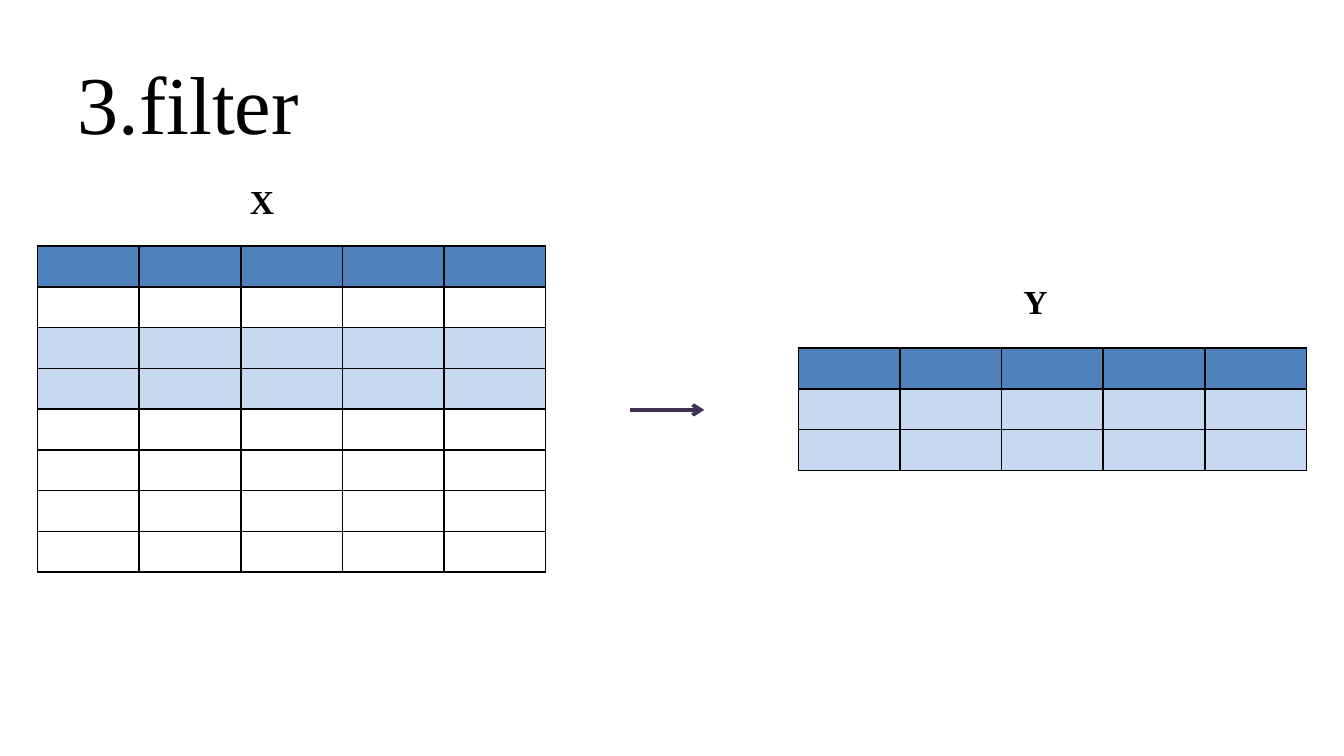
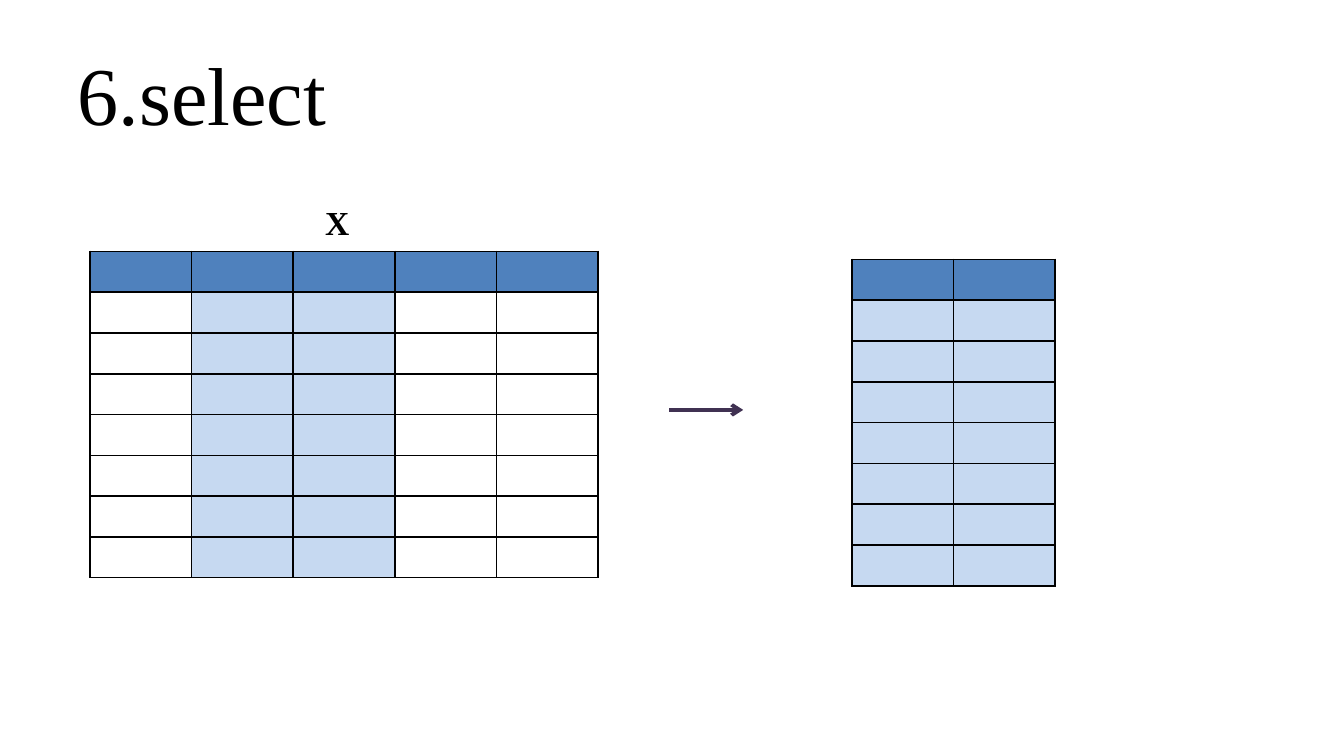
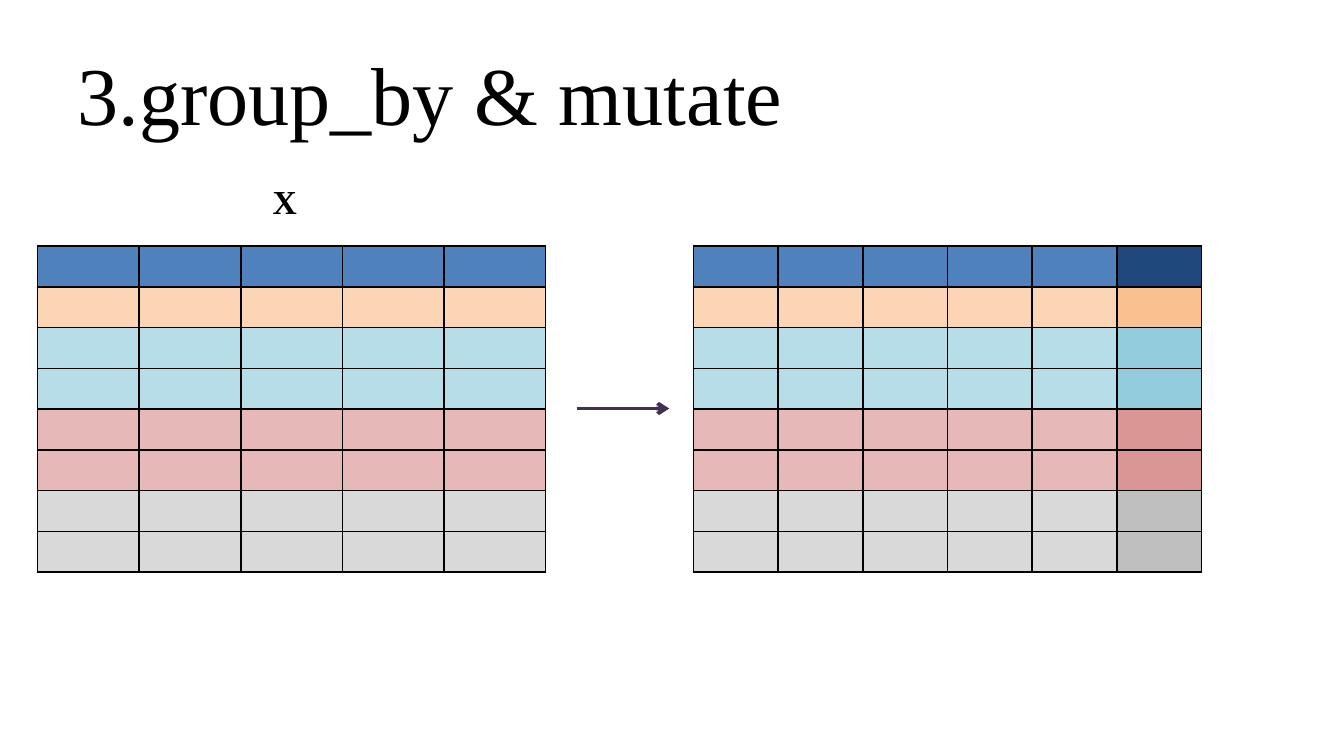
import pptx
import pptx.util
import pptx.dml.color
import pptx.enum.shapes
import pptx.enum.text
import pptx.oxml.ns
from lxml import etree

Inches = pptx.util.Inches
Pt = pptx.util.Pt
qn = pptx.oxml.ns.qn
LEFT = pptx.enum.text.PP_ALIGN.LEFT
CENTER = pptx.enum.text.PP_ALIGN.CENTER

COLORS = {
    "text": "000000",
    "border": "000000",
    "arrow": "403152",
    "header": "4F81BD",
    "header_new": "1F497D",
    "picked": "C6D9F1",
    "orange": "FCD5B5",
    "orange_new": "FAC090",
    "teal": "B7DEE8",
    "teal_new": "93CDDD",
    "red": "E6B9B8",
    "red_new": "D99694",
    "gray": "D9D9D9",
    "gray_new": "BFBFBF",
}
FONT = "Times New Roman"
ROW_HEIGHT = Inches(2.43) // 8
TABLE_WIDTH = 3.78

header = ["header"] * 5
plain = [None] * 5
picked = ["picked"] * 5
groups = ["header", "orange", "teal", "teal", "red", "red", "gray", "gray"]
grouped = [[group] * 5 for group in groups]
mutated = [[group] * 5 + [group + "_new"] for group in groups]

SLIDES = [
    {
        "title": ("3.filter", 0.34),
        "tables": [
            (0.28, 1.83, TABLE_WIDTH, [header, plain, picked, picked] + [plain] * 4),
            (5.94, 2.59, TABLE_WIDTH, [header, picked, picked]),
        ],
        "arrow": (4.69, 5.24, 3.05),
        "labels": [("X", 1.76, 1.3, LEFT), ("Y", 7.31, 2.04, CENTER)],
    },
    {
        "title": ("6.select", 0.27),
        "tables": [
            (0.67, 1.87, TABLE_WIDTH, [header] + [[None, "picked", "picked", None, None]] * 7),
            (6.34, 1.93, 1.51, [header[:2]] + [picked[:2]] * 7),
        ],
        "arrow": (4.98, 5.53, 3.05),
        "labels": [("X", 2.32, 1.45, LEFT)],
    },
    {
        "title": ("3.group_by & mutate", 0.27),
        "tables": [
            (0.28, 1.83, TABLE_WIDTH, grouped),
            (5.16, 1.83, TABLE_WIDTH, mutated),
        ],
        "arrow": (4.29, 4.98, 3.04),
        "labels": [("X", 1.93, 1.3, LEFT)],
    },
]


def add_text(slide, text, left, top, width, height, size, bold=False, align=LEFT):
    box = slide.shapes.add_textbox(Inches(left), Inches(top), Inches(width), Inches(height))
    frame = box.text_frame
    frame.word_wrap = True
    paragraph = frame.paragraphs[0]
    paragraph.alignment = align
    run = paragraph.add_run()
    run.text = text
    run.font.name = FONT
    run.font.size = Pt(size)
    run.font.bold = bold
    run.font.color.rgb = pptx.dml.color.RGBColor.from_string(COLORS["text"])


def add_grid(slide, left, top, width, rows):
    column_count = len(rows[0])
    table = slide.shapes.add_table(
        len(rows), column_count, Inches(left), Inches(top), Inches(width), ROW_HEIGHT * len(rows)
    ).table
    for column in table.columns:
        column.width = Inches(width) // column_count
    for row_index, row in enumerate(rows):
        table.rows[row_index].height = ROW_HEIGHT
        for column_index, color in enumerate(row):
            cell = table.cell(row_index, column_index)
            end = etree.SubElement(cell.text_frame.paragraphs[0]._p, qn("a:endParaRPr"))
            end.set("sz", "1000")
            properties = cell._tc.get_or_add_tcPr()
            for side in ("a:lnL", "a:lnR", "a:lnT", "a:lnB"):
                line = etree.SubElement(properties, qn(side), w=str(Pt(1)))
                fill = etree.SubElement(line, qn("a:solidFill"))
                etree.SubElement(fill, qn("a:srgbClr"), val=COLORS["border"])
            if color:
                cell.fill.solid()
                cell.fill.fore_color.rgb = pptx.dml.color.RGBColor.from_string(COLORS[color])
            else:
                cell.fill.background()


presentation = pptx.Presentation()
presentation.slide_width = Inches(10)
presentation.slide_height = Inches(10) * 9 // 16

for content in SLIDES:
    slide = presentation.slides.add_slide(presentation.slide_layouts[6])

    for left, top, width, rows in content["tables"]:
        add_grid(slide, left, top, width, rows)

    title, title_top = content["title"]
    add_text(slide, title, 0.48, title_top, 9, 0.71, 44)

    start, end, height = content["arrow"]
    arrow = slide.shapes.add_connector(
        pptx.enum.shapes.MSO_CONNECTOR.STRAIGHT,
        Inches(start), Inches(height), Inches(end), Inches(height),
    )
    arrow.line.width = Pt(2)
    arrow.line.color.rgb = pptx.dml.color.RGBColor.from_string(COLORS["arrow"])
    etree.SubElement(arrow.line._get_or_add_ln(), qn("a:tailEnd"), type="arrow")
    etree.SubElement(arrow._element.spPr, qn("a:effectLst"))

    for text, left, top, align in content["labels"]:
        add_text(slide, text, left, top, 0.79, 0.4, 18, bold=True, align=align)

presentation.save("out.pptx")
